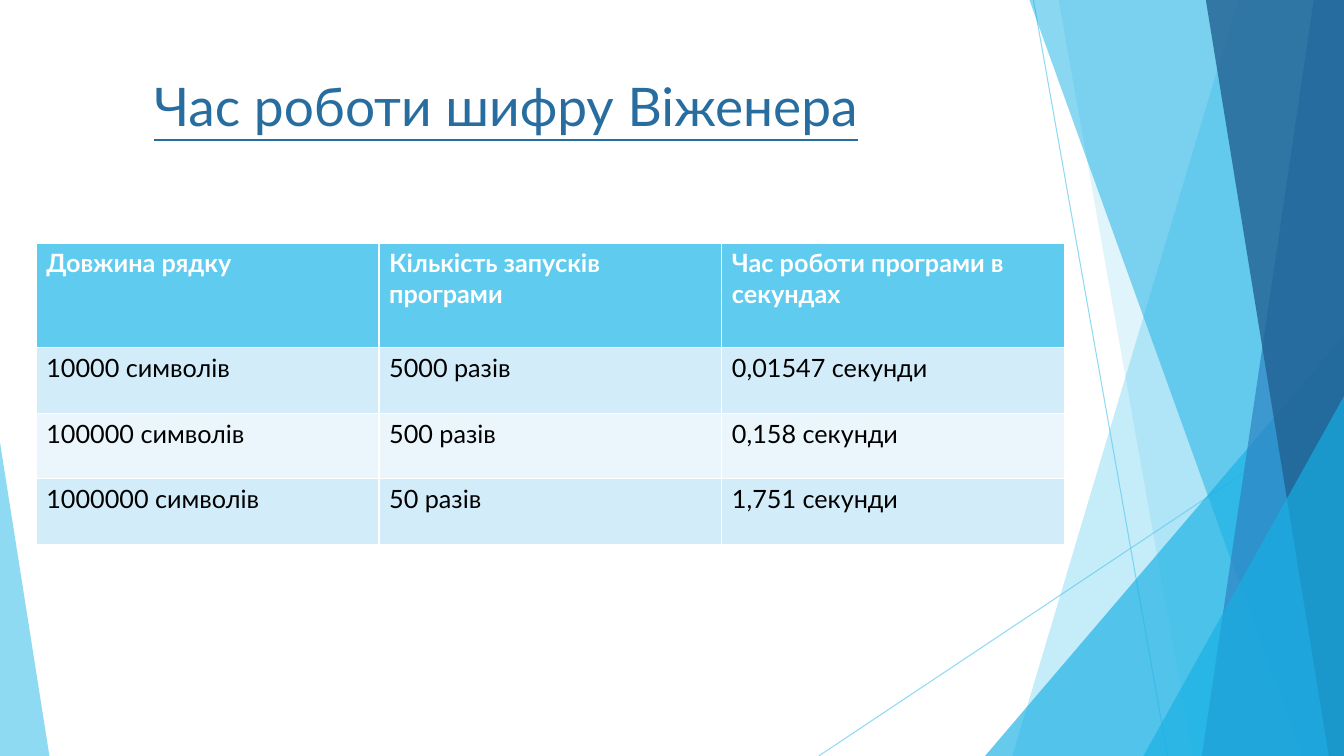
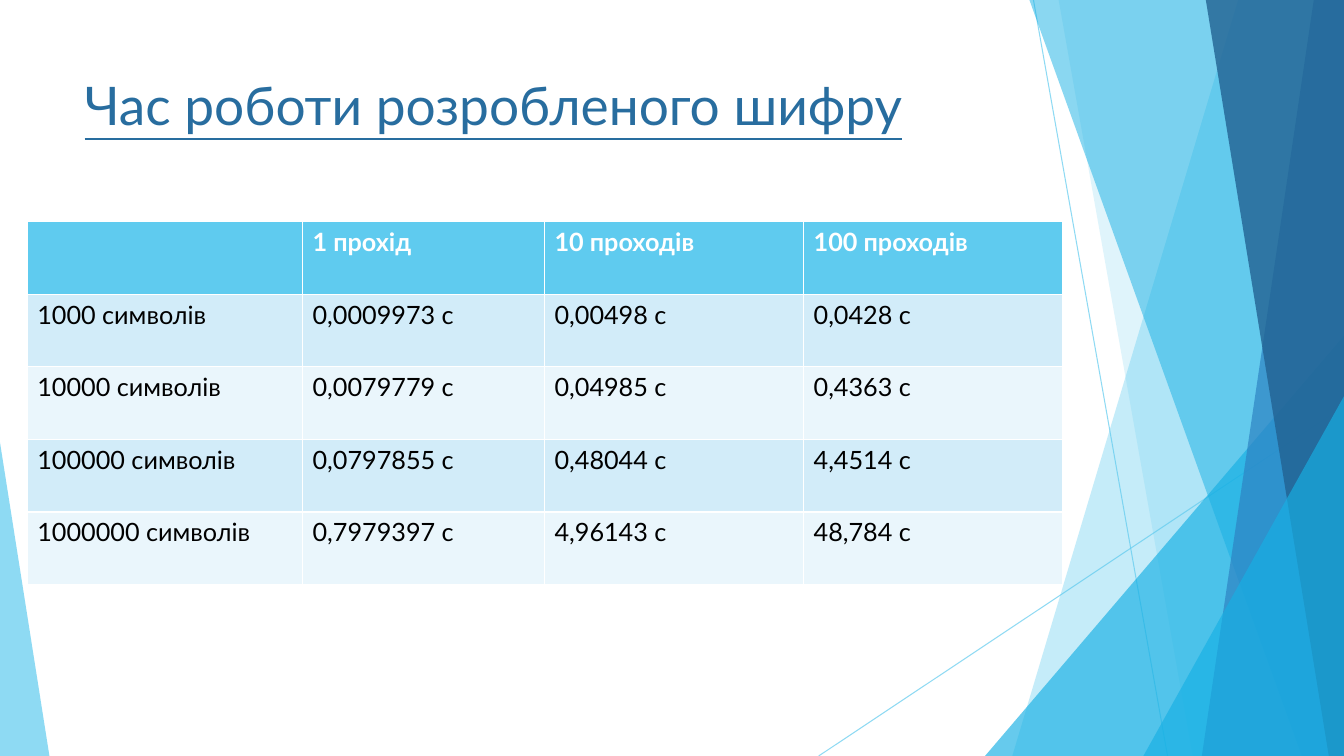
"""Build two slides on cipher run times, each with a title and a table."""
from lxml import etree
from pptx import Presentation
from pptx.dml.color import RGBColor
from pptx.enum import shapes, text
from pptx.oxml.ns import qn
from pptx.util import Inches, Pt

HUES = {
    "sky": "5FCBEF", "cyan": "17B0E4", "blue": "2E83C3", "navy": "226292",
    "title": "286D9F", "odd": "D2ECF9", "even": "EAF6FC",
    "white": "FFFFFF", "black": "000000",
}
FONT = "Lato"
WIDE, HIGH = 13.33, 7.5

LINES = [(10.25, 0, 11.58, HIGH), (WIDE, 4.03, 8.12, HIGH)]
BANDS = [
    ("band", (12.28, 10.04), "sky", 36),
    ("band", (10.5, 11.83), "sky", 20),
    ("peak", (9.77, 3.33, 3.56, 4.17, 1), "cyan", 66),
    ("band", (10.21, 12.91), "cyan", 50),
    ("band", (13.03, 11.92), "blue", 70),
    ("band", (11.96, 13.18), "navy", 80),
    ("peak", (11.34, 3.93, 1.99, 3.57, 1), "cyan", 66),
    ("peak", (0, 4.39, 0.49, 3.11, 0), "sky", 70),
]
PAGES = [
    {
        "title": "Час роботи шифру Віженера", "at": (1.43, 0.68),
        "grid": (0.36, 2.41), "cols": [3.4] * 3, "rows": [1.04] + [0.65] * 3,
        "cells": [
            ["Довжина рядку", "Кількість запусків програми",
             "Час роботи програми в секундах"],
            ["10000 символів", "5000 разів", "0,01547 секунди"],
            ["100000 символів", "500 разів", "0,158 секунди"],
            ["1000000 символів", "50 разів", "1,751 секунди"],
        ],
    },
    {
        "title": "Час роботи розробленого шифру", "at": (0.74, 0.67),
        "grid": (0.27, 2.2), "cols": [2.73, 2.4, 2.57, 2.57], "rows": [0.72] * 5,
        "cells": [
            ["", "1 прохід", "10 проходів", "100 проходів"],
            ["1000 символів", "0,0009973 с", "0,00498 с", "0,0428 с"],
            ["10000 символів", "0,0079779 с", "0,04985 с", "0,4363 с"],
            ["100000 символів", "0,0797855 с", "0,48044 с", "4,4514 с"],
            ["1000000 символів", "0,7979397 с", "4,96143 с", "48,784 с"],
        ],
    },
]


def tint(fill, hue, part, alpha):
    fill.solid()
    fill.fore_color.rgb = RGBColor.from_string(HUES[hue])
    for tone in part.iter(qn("a:srgbClr")):
        etree.SubElement(tone, qn("a:alpha"), val=str(alpha * 1000))


def style(para, size, hue):
    para.font.name = FONT
    para.font.size = Pt(size)
    para.font.color.rgb = RGBColor.from_string(HUES[hue])


deck = Presentation()
deck.slide_width, deck.slide_height = Inches(WIDE), Inches(HIGH)

for page in PAGES:
    slide = deck.slides.add_slide(deck.slide_layouts[6])

    for ends in LINES:
        line = slide.shapes.add_connector(
            shapes.MSO_CONNECTOR.STRAIGHT, *map(Inches, ends))
        line.line.width = Pt(0.75)
        props = line._element.spPr
        tint(line.line.fill, "sky", props, 70)
        etree.SubElement(props, qn("a:effectLst"))

    for kind, geo, hue, alpha in BANDS:
        if kind == "band":
            top, foot = geo
            pen = slide.shapes.build_freeform(Inches(top), 0)
            pen.add_line_segments([
                (Inches(x), Inches(y))
                for x, y in [(WIDE, 0), (WIDE, HIGH), (foot, HIGH)]])
            shape = pen.convert_to_shape()
        else:
            *box, tip = geo
            shape = slide.shapes.add_shape(
                shapes.MSO_SHAPE.ISOSCELES_TRIANGLE, *map(Inches, box))
            shape.adjustments[0] = tip
        shape.shadow.inherit = False
        shape.line.fill.background()
        tint(shape.fill, hue, shape._element.spPr, alpha)

    left, top = page["at"]
    title = slide.shapes.add_textbox(
        Inches(left), Inches(top), Inches(9.4), Inches(1.44))
    frame = title.text_frame
    frame.word_wrap = True
    frame.vertical_anchor = text.MSO_ANCHOR.TOP
    frame.text = page["title"]
    style(frame.paragraphs[0], 38, "title")
    frame.paragraphs[0].font.underline = True

    cols, rows = page["cols"], page["rows"]
    left, top = page["grid"]
    table = slide.shapes.add_table(
        len(rows), len(cols), Inches(left), Inches(top),
        Inches(sum(cols)), Inches(sum(rows))).table
    for col, width in zip(table.columns, cols):
        col.width = Inches(width)
    for r, words in enumerate(page["cells"]):
        table.rows[r].height = Inches(rows[r])
        shade = "sky" if r == 0 else "odd" if r % 2 else "even"
        for c, word in enumerate(words):
            cell = table.cell(r, c)
            cell.fill.solid()
            cell.fill.fore_color.rgb = RGBColor.from_string(HUES[shade])
            cell.text = word
            para = cell.text_frame.paragraphs[0]
            style(para, 18, "black" if r else "white")
            para.font.bold = r == 0

deck.save("out.pptx")
